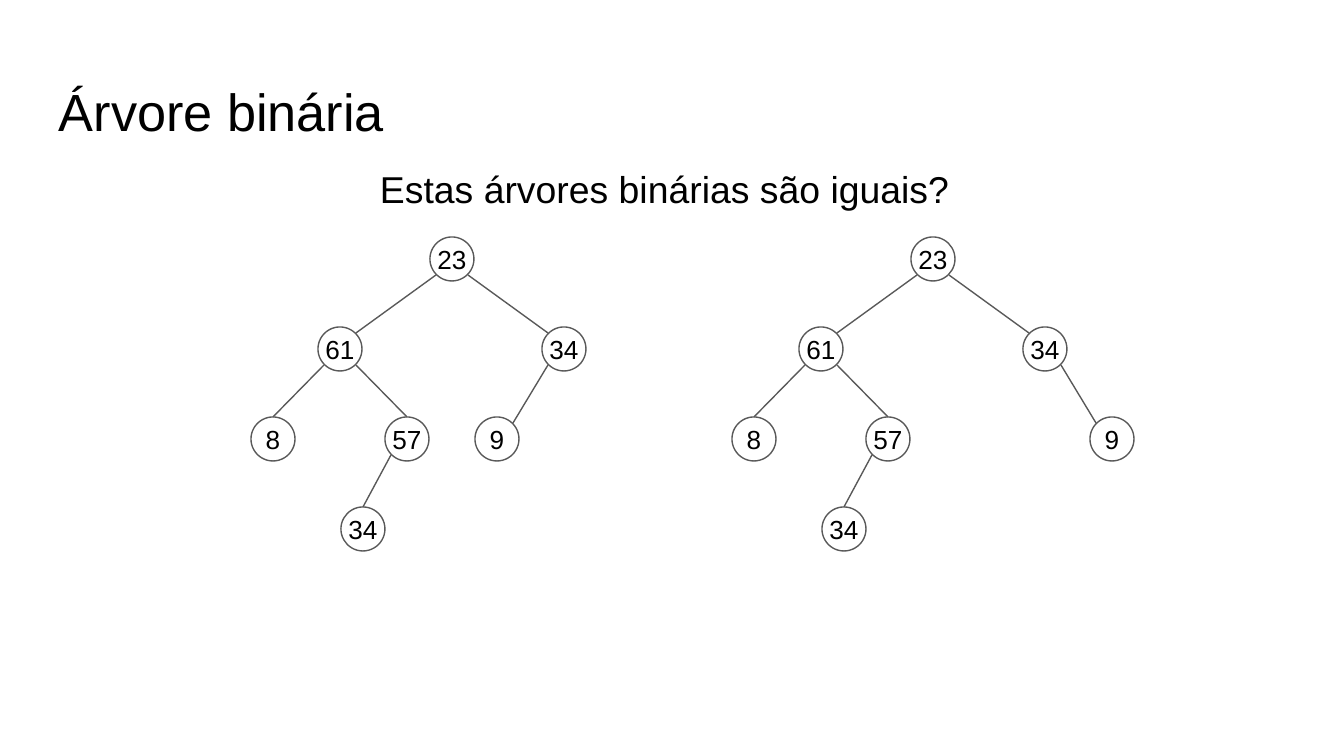
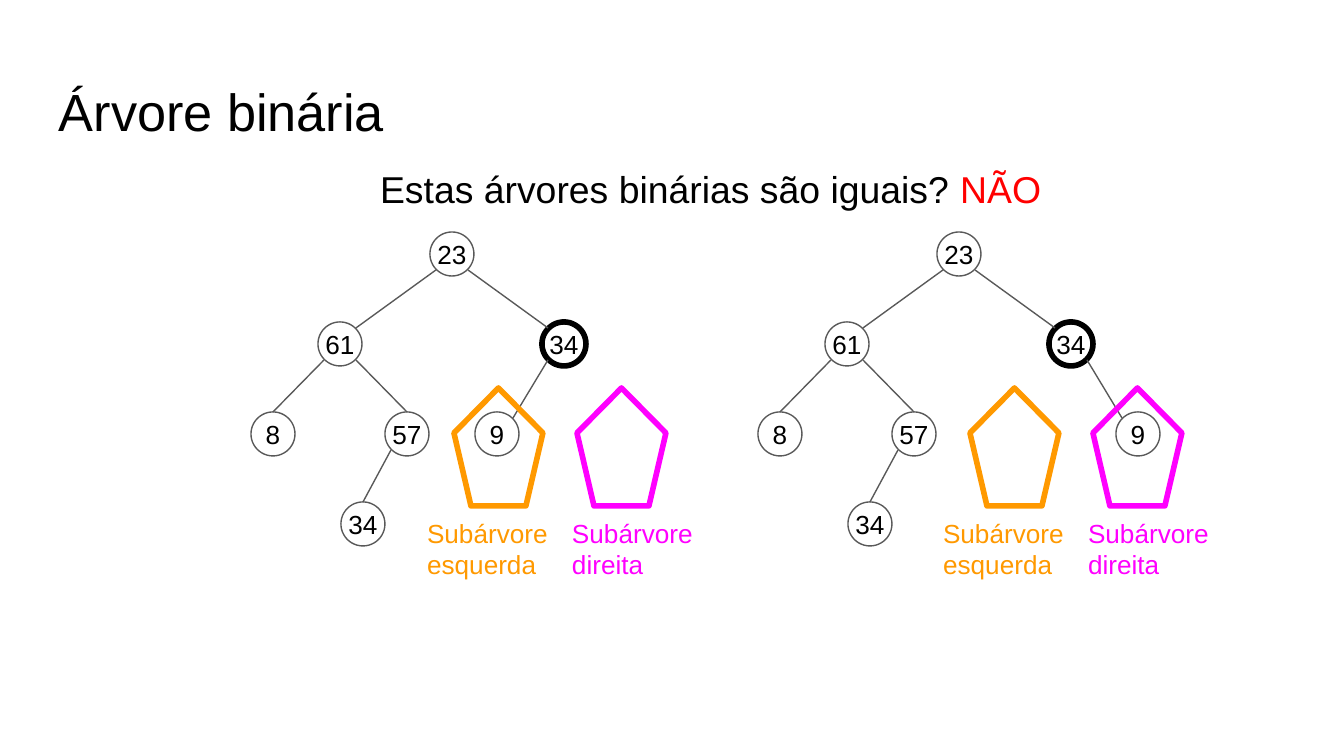
"""Build two slides that compare a pair of binary trees."""
import pptx
import pptx.dml.color
import pptx.enum.shapes
import pptx.enum.text
import pptx.oxml.ns
import pptx.util
from lxml import etree

RGB = pptx.dml.color.RGBColor
SHAPE = pptx.enum.shapes.MSO_SHAPE
LINK = pptx.enum.shapes.MSO_CONNECTOR
ALIGN = pptx.enum.text.PP_ALIGN
ANCHOR = pptx.enum.text.MSO_ANCHOR

BLACK = RGB(0x00, 0x00, 0x00)
GRAY = RGB(0x59, 0x59, 0x59)
RED = RGB(0xFF, 0x00, 0x00)
ORANGE = RGB(0xFF, 0x99, 0x00)
PINK = RGB(0xFF, 0x00, 0xFF)

WIDE, HIGH = 1344, 756
SCALE = 9144000 / WIDE
FONT = "Arial"
NODE = 44
DIAG = 16
STEP = 90
LEAF = 67

NODES = {
    "root": ("23", 0, 0),
    "left": ("61", -112, 1),
    "right": ("34", 112, 1),
    "eight": ("8", -179, 2),
    "inner": ("57", -45, 2),
    "deep": ("34", -89, 3),
}
EDGES = [
    ("root", "left", False),
    ("root", "right", False),
    ("left", "eight", True),
    ("left", "inner", True),
    ("inner", "deep", True),
    ("right", "nine", False),
]


def px(count):
    return pptx.util.Emu(round(count * SCALE))


def write(frame, text, size=14, color=BLACK, align=ALIGN.LEFT):
    para = frame.paragraphs[0]
    para.alignment = align
    run = para.add_run()
    run.text = text
    run.font.name = FONT
    run.font.size = pptx.util.Pt(size)
    run.font.color.rgb = color


def set_pad(frame, pad):
    frame.margin_left = frame.margin_right = px(pad)
    frame.margin_top = frame.margin_bottom = px(pad)
    frame.word_wrap = True


def add_box(slide, left, top, width, height, text, **style):
    frame = slide.shapes.add_textbox(px(left), px(top), px(width), px(height)).text_frame
    set_pad(frame, 13)
    write(frame, text, **style)
    return frame


def add_form(slide, kind, left, top, width, height, color, weight):
    form = slide.shapes.add_shape(kind, px(left), px(top), px(width), px(height))
    form.shadow.inherit = False
    form.fill.background()
    form.line.color.rgb = color
    form.line.width = pptx.util.Pt(weight)
    return form


def add_node(slide, x, y, text, bold):
    color, weight = (BLACK, 3) if bold else (GRAY, 0.75)
    node = add_form(slide, SHAPE.OVAL, x - NODE // 2, y - NODE // 2, NODE, NODE, color, weight)
    frame = node.text_frame
    set_pad(frame, 0)
    frame.vertical_anchor = ANCHOR.MIDDLE
    write(frame, text, align=ALIGN.CENTER)
    return node


def add_edge(slide, start, end, child, at_top):
    side = 1 if end[0] > start[0] else -1
    line = slide.shapes.add_connector(
        LINK.STRAIGHT,
        px(start[0] + side * DIAG), px(start[1] + DIAG),
        px(end[0] - side * DIAG), px(end[1] - DIAG),
    )
    if at_top:
        line.end_connect(child, 0)
    line.line.color.rgb = GRAY
    line.line.width = pptx.util.Pt(0.75)
    etree.SubElement(line._element.spPr, pptx.oxml.ns.qn("a:effectLst"))


def add_tree(slide, x, y, side, bold=None):
    nodes = NODES | {"nine": ("9", 112 + side * LEAF, 2)}
    spots, forms = {}, {}
    for name, (text, shift, level) in nodes.items():
        spots[name] = (x + shift, y + level * STEP)
        forms[name] = add_node(slide, *spots[name], text, name == bold)
    for start, end, at_top in EDGES:
        add_edge(slide, spots[start], spots[end], forms[end], at_top)


def add_marks(slide, left):
    for index, (word, color) in enumerate([("esquerda", ORANGE), ("direita", PINK)]):
        add_form(slide, SHAPE.REGULAR_PENTAGON, left + index * 123, 388, 89, 118, color, 3)
        add_box(slide, left - 40 + index * 145, 504, 152, 62, f"Subárvore {word}", color=color)


def add_slide(deck, width):
    slide = deck.slides.add_slide(deck.slide_layouts[6])
    add_box(slide, 46, 66, 1253, 85, "Árvore binária", size=28)
    ask = add_box(slide, 367, 153, width, 90, "Estas árvores binárias são iguais?", size=20)
    return slide, ask


def main():
    deck = pptx.Presentation()
    deck.slide_width, deck.slide_height = px(WIDE), px(HIGH)

    slide, ask = add_slide(deck, 610)
    add_tree(slide, 452, 259, -1)
    add_tree(slide, 933, 259, 1)

    slide, ask = add_slide(deck, 702)
    write(ask, " NÃO", size=20, color=RED)
    add_tree(slide, 452, 254, -1, bold="right")
    add_tree(slide, 959, 254, 1, bold="right")
    for left in (454, 970):
        add_marks(slide, left)

    deck.save("out.pptx")


if __name__ == "__main__":
    main()
